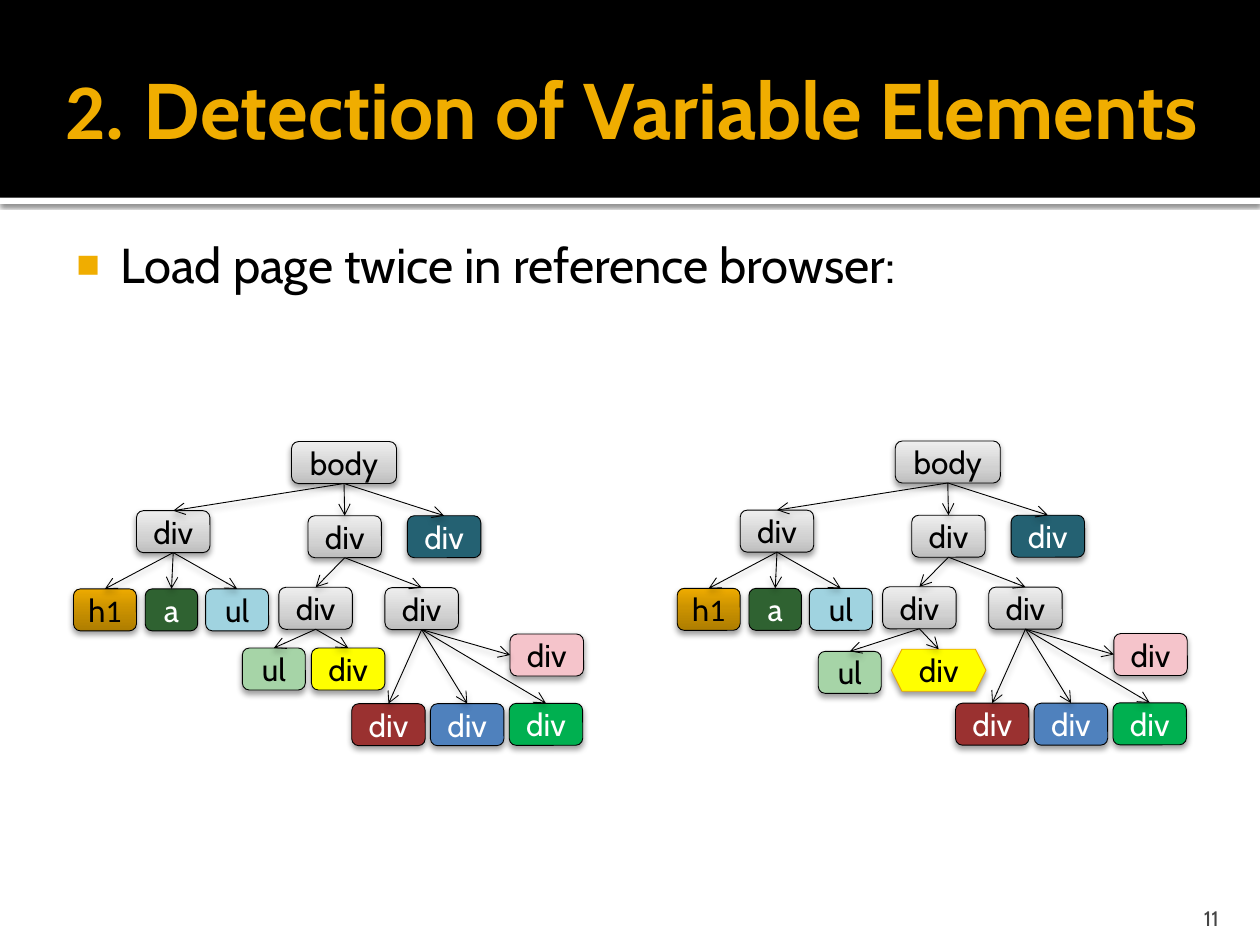
from copy import deepcopy
from dataclasses import dataclass, replace

from lxml import etree
from pptx import Presentation
from pptx.dml.color import RGBColor
from pptx.enum import shapes, text
from pptx.oxml import ns
from pptx.util import Pt


@dataclass(frozen=True)
class Theme:
    """Colours, fonts and type sizes of the deck."""
    black: str = "000000"
    white: str = "FFFFFF"
    accent: str = "F0AD00"
    number: str = "454545"
    teal: str = "246172"
    forest: str = "2F6231"
    sky: str = "A0D3E0"
    mint: str = "A6D4A7"
    yellow: str = "FFFF00"
    amber: str = "EBA900"
    red: str = "9A3130"
    blue: str = "4F81BD"
    green: str = "00B050"
    pink: str = "F5C4CB"
    gray: tuple = ((0, "BDBDBD"), (0.35, "D1D1D1"), (1, "EEEEEE"))
    gold: tuple = ((0, "AE7D00"), (0.55, "CC9300"), (1, "EEAB00"))
    font: str = "Cabin"
    digits: str = "Calibri"
    title_size: int = 45
    body_size: int = 28
    node_size: int = 18
    number_size: int = 12


THEME = Theme()


@dataclass(frozen=True)
class Node:
    """An element of the page tree, placed relative to its tree."""
    label: str
    parent: str
    left: float
    top: float
    fill: str | tuple = THEME.gray
    color: str = THEME.black
    width: float = 42
    outline: str = THEME.black
    kind: shapes.MSO_SHAPE = shapes.MSO_SHAPE.ROUNDED_RECTANGLE
    entry: int = 0


NODE_HEIGHT = 24
FIRST_LOAD = {
    "body": Node("body", "", 124.6, 0, width=60),
    "header": Node("div", "body", 36, 39.5),
    "content": Node("div", "body", 134, 42.4),
    "footer": Node("div", "body", 190.8, 42.4, THEME.teal, THEME.white),
    "heading": Node("h1", "header", 0, 84.2, THEME.gold, width=36),
    "anchor": Node("a", "header", 41, 84.2, THEME.forest, THEME.white, 30),
    "menu": Node("ul", "header", 75.5, 84.2, THEME.sky, width=36),
    "left": Node("div", "content", 117.4, 83.3),
    "right": Node("div", "content", 178, 83.5),
    "list": Node("ul", "left", 96.5, 118, THEME.mint, width=36),
    "variable": Node("div", "left", 136, 118, THEME.yellow),
    "red": Node("div", "right", 159, 149.8, THEME.red, THEME.white),
    "blue": Node("div", "right", 204, 149.8, THEME.blue, THEME.white),
    "green": Node("div", "right", 249, 149.6, THEME.green, THEME.white),
    "pink": Node("div", "right", 249.5, 110, THEME.pink, entry=1),
}
SECOND_LOAD = FIRST_LOAD | {
    "list": replace(FIRST_LOAD["list"], left=80.6, top=120.2),
    "variable": replace(FIRST_LOAD["variable"], left=122.4, top=119, width=54,
                        outline=THEME.amber, kind=shapes.MSO_SHAPE.HEXAGON),
}


def add_text(para, words, *, size, color, font=THEME.font, bold=False,
             align=text.PP_ALIGN.LEFT):
    """Append a formatted span to a paragraph."""
    para.alignment = align
    span = para.add_run()
    span.text = words
    span.font.name = font
    span.font.size = Pt(size)
    span.font.bold = bold
    span.font.color.rgb = RGBColor.from_string(color)


def set_frame(frame, margins, anchor):
    """Set the margins, wrapping and anchor of a text frame."""
    frame.margin_left, frame.margin_top, frame.margin_right, frame.margin_bottom = map(Pt, margins)
    frame.word_wrap = True
    frame.auto_size = text.MSO_AUTO_SIZE.NONE
    frame.vertical_anchor = anchor


def place(holder, box):
    """Move a placeholder to a box given in points."""
    holder.left, holder.top, holder.width, holder.height = map(Pt, box)


def add_element(parent, tag, **attributes):
    """Append a drawing element with its attributes."""
    return etree.SubElement(parent, ns.qn(tag), {key: str(value) for key, value in attributes.items()})


def add_shadow(item, blur=3.5, distance=2, opacity=38):
    """Give a shape or connector a soft shadow straight below."""
    effects = add_element(item._element.spPr, "a:effectLst")
    shadow = add_element(effects, "a:outerShdw", blurRad=Pt(blur), dist=Pt(distance),
                         dir=5400000, algn="ctr", rotWithShape=0)
    color = add_element(shadow, "a:srgbClr", val=THEME.black)
    add_element(color, "a:alpha", val=opacity * 1000)


def set_fill(shape, fill):
    """Fill a shape with one colour or with upward gradient stops."""
    if isinstance(fill, str):
        shape.fill.solid()
        shape.fill.fore_color.rgb = RGBColor.from_string(fill)
        return
    shape.fill.gradient()
    shape.fill.gradient_angle = 90
    stops = shape._element.spPr.find(".//" + ns.qn("a:gsLst"))
    stops.append(deepcopy(stops[-1]))
    for stop, (position, color) in zip(shape.fill.gradient_stops, fill):
        stop.position = position
        stop.color.rgb = RGBColor.from_string(color)


def draw_band(page, box):
    """Draw the black title band and its white shadowed edge behind the text."""
    left, top, width, height = box
    bars = ((top + height, 3.6, THEME.white), (top, height, THEME.black))
    for layer, (bar_top, bar_height, color) in enumerate(bars, start=2):
        bar = page.shapes.add_shape(shapes.MSO_SHAPE.RECTANGLE, Pt(left), Pt(bar_top),
                                    Pt(width), Pt(bar_height))
        set_fill(bar, color)
        bar.line.fill.background()
        if color == THEME.white:
            add_shadow(bar, blur=2.5, distance=0.8, opacity=60)
        else:
            bar.shadow.inherit = False
        page.shapes._spTree.insert(layer, bar._element)


def fill_title(page, box):
    """Write the slide title."""
    place(page.shapes.title, box)
    frame = page.shapes.title.text_frame
    set_frame(frame, (7.2, 3.6, 3.6, 3.6), text.MSO_ANCHOR.MIDDLE)
    for words, font in (("2. ", THEME.digits), ("Detection of Variable Elements", THEME.font)):
        add_text(frame.paragraphs[0], words, size=THEME.title_size, color=THEME.accent,
                 font=font, bold=True)


def fill_body(page, box):
    """Write the bulleted statement."""
    holder = page.placeholders[1]
    place(holder, box)
    set_frame(holder.text_frame, (4.3, 7.2, 7.2, 3.6), text.MSO_ANCHOR.TOP)
    para = holder.text_frame.paragraphs[0]
    layout = para._p.get_or_add_pPr()
    layout.set("marL", str(Pt(34.5)))
    layout.set("indent", str(Pt(-25.2)))
    add_element(add_element(layout, "a:buClr"), "a:srgbClr", val=THEME.accent)
    add_element(layout, "a:buSzPct", val=80000)
    add_element(layout, "a:buChar", char="■")
    para.space_before = Pt(0)
    add_text(para, "Load page twice in reference browser:", size=THEME.body_size, color=THEME.black)


def draw_node(page, node, left, top):
    """Draw one labelled element of a tree."""
    shape = page.shapes.add_shape(node.kind, Pt(left), Pt(top), Pt(node.width), Pt(NODE_HEIGHT))
    set_fill(shape, node.fill)
    shape.line.color.rgb = RGBColor.from_string(node.outline)
    shape.line.width = Pt(0.5)
    add_shadow(shape)
    set_frame(shape.text_frame, (0, 0, 0, 0), text.MSO_ANCHOR.MIDDLE)
    for letter_group in ("h", "1") if node.label == "h1" else (node.label,):
        add_text(shape.text_frame.paragraphs[0], letter_group, size=THEME.node_size, color=node.color,
                 font=THEME.digits if letter_group.isdigit() else THEME.font,
                 align=text.PP_ALIGN.CENTER)
    return shape


def draw_arrow(page, parent, child, node):
    """Link the bottom of a parent to its child with an arrow."""
    arrow = page.shapes.add_connector(shapes.MSO_CONNECTOR.STRAIGHT, 0, 0,
                                      child.left + child.width // 2, child.top)
    arrow.begin_connect(parent, 2)
    if node.kind == shapes.MSO_SHAPE.ROUNDED_RECTANGLE:
        arrow.end_connect(child, node.entry)
    arrow.line.color.rgb = RGBColor.from_string(THEME.black)
    arrow.line.width = Pt(0.5)
    add_element(arrow.line._get_or_add_ln(), "a:tailEnd", type="arrow")
    add_shadow(arrow)


def draw_tree(page, box, nodes):
    """Draw a page tree from the top left of its box."""
    left, top = box[:2]
    drawn = {name: draw_node(page, node, left + node.left, top + node.top)
             for name, node in nodes.items()}
    for name, node in nodes.items():
        if node.parent:
            draw_arrow(page, drawn[node.parent], drawn[name], node)


def write_number(page, box):
    """Write the page number."""
    frame = page.shapes.add_textbox(*map(Pt, box)).text_frame
    set_frame(frame, (7.2, 3.6, 7.2, 0), text.MSO_ANCHOR.BOTTOM)
    add_text(frame.paragraphs[0], "11", size=THEME.number_size, color=THEME.number,
             align=text.PP_ALIGN.RIGHT)


def main():
    """Build and save the deck."""
    deck = Presentation()
    deck.slide_width, deck.slide_height = Pt(720), Pt(540)
    page = deck.slides.add_slide(deck.slide_layouts[1])
    draw_band(page, (0, 0, 720, 113))
    fill_title(page, (30, 12, 666, 99))
    fill_body(page, (30, 127, 678, 65))
    draw_tree(page, (42, 252.3, 292, 174), FIRST_LOAD)
    draw_tree(page, (387, 252, 292, 174), SECOND_LOAD)
    write_number(page, (646, 510, 57.6, 21.6))
    deck.save("out.pptx")


if __name__ == "__main__":
    main()
